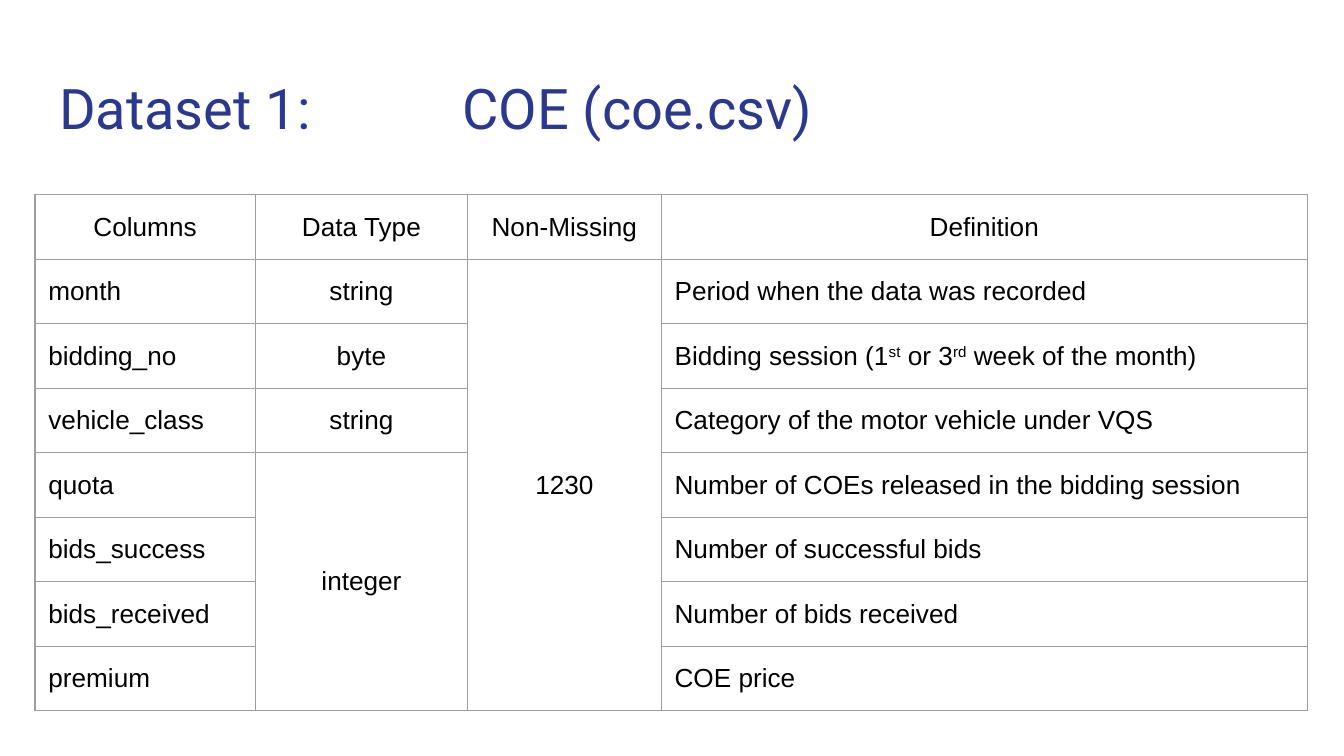
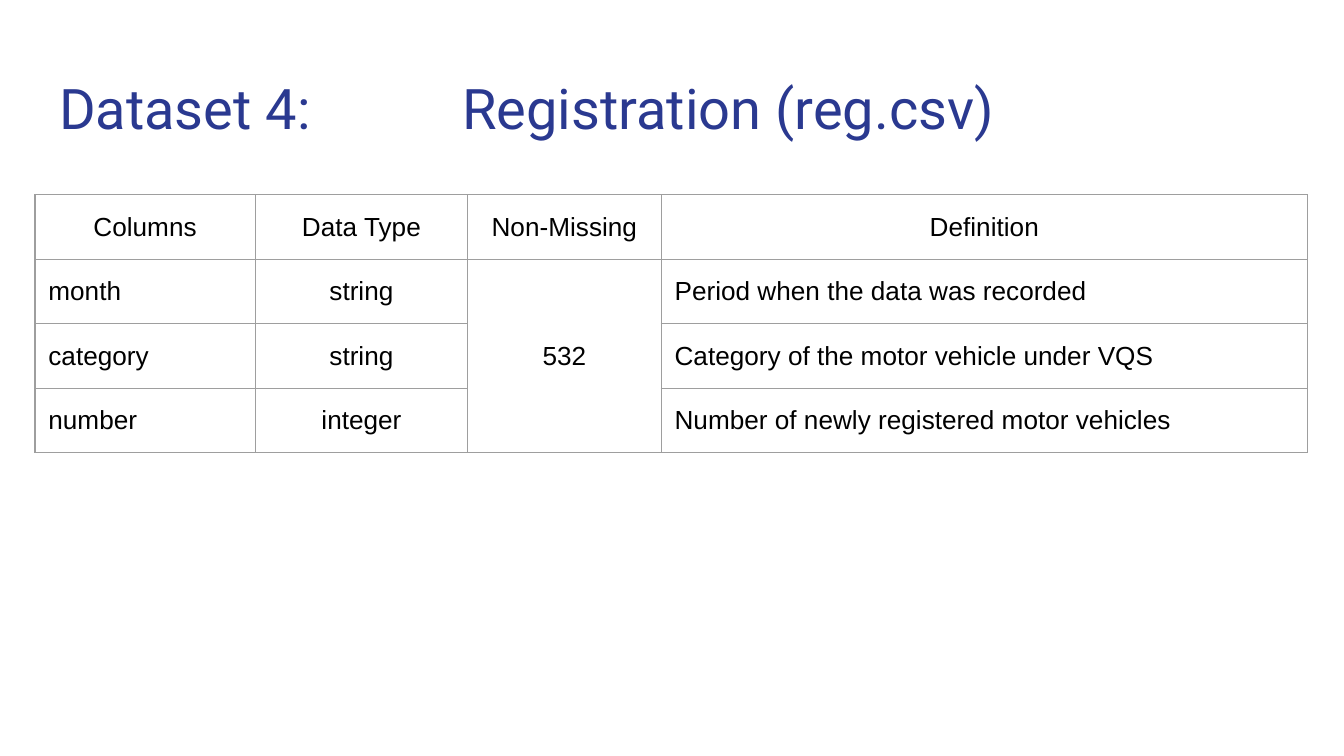
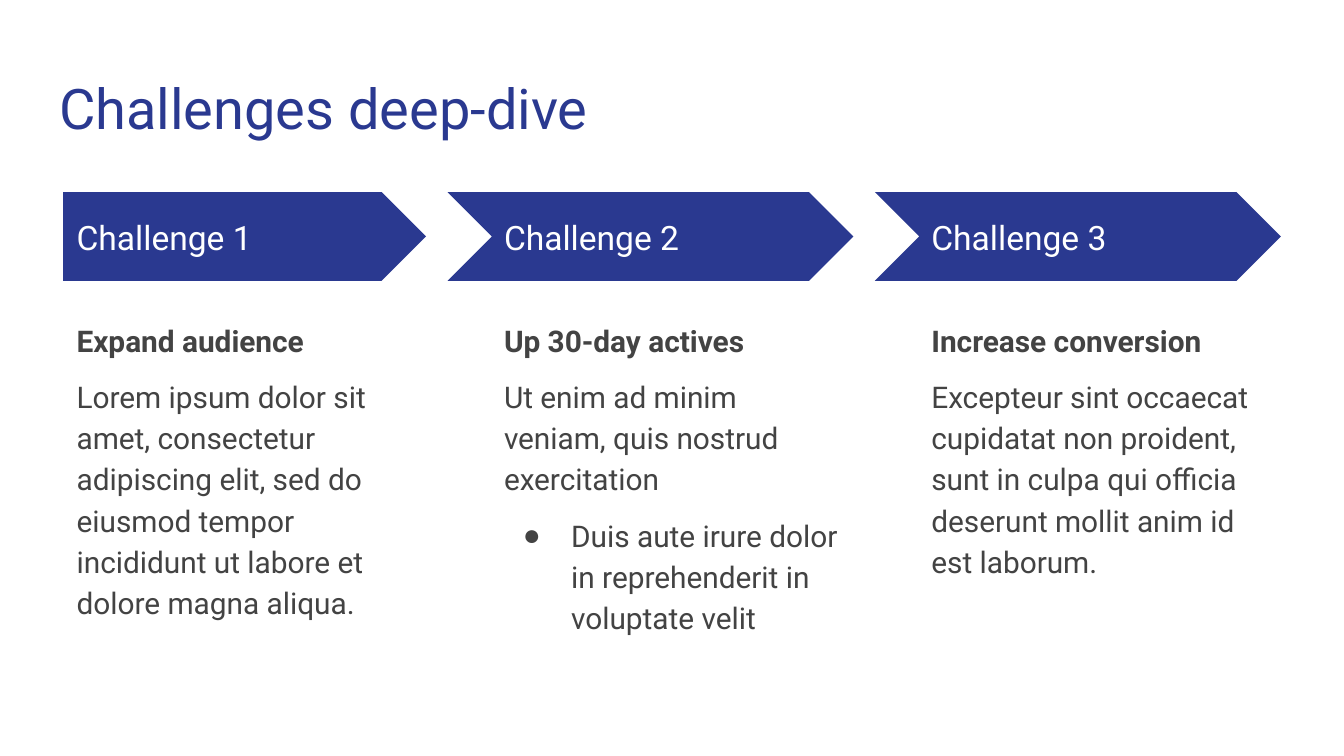
from copy import deepcopy

from lxml.etree import SubElement
from pptx import Presentation
from pptx.dml.color import RGBColor
from pptx.enum.shapes import MSO_SHAPE
from pptx.enum.text import MSO_ANCHOR, MSO_AUTO_SIZE, PP_ALIGN
from pptx.oxml.ns import qn
from pptx.util import Inches, Pt

COLOURS = {"navy": "2A3990", "grey": "434343", "border": "9E9E9E",
           "black": "000000", "white": "FFFFFF"}

# Widescreen, 16 to 9
WIDTH = Inches(10)
HEIGHT = WIDTH * 9 // 16
INSET = Inches(0.1)

deck = Presentation()
deck.slide_width, deck.slide_height = WIDTH, HEIGHT


def place(box, left, top, width, height, anchor=MSO_ANCHOR.TOP):
    """Put a text placeholder at shares of the slide's size."""
    box.left, box.top = int(left * WIDTH), int(top * HEIGHT)
    box.width, box.height = int(width * WIDTH), int(height * HEIGHT)
    frame = box.text_frame
    frame.auto_size, frame.word_wrap = MSO_AUTO_SIZE.NONE, True
    frame.vertical_anchor = anchor
    frame.margin_left = frame.margin_right = INSET
    frame.margin_top = frame.margin_bottom = INSET
    return frame


def write(para, text, size, colour, font="Roboto", bold=False, align=PP_ALIGN.LEFT):
    """Fill a paragraph; parts between carets are raised."""
    for number, part in enumerate(text.split("^")):
        span = para.add_run()
        span.text = part
        if number % 2:
            span.font._element.set("baseline", "30000")
    para.alignment = align
    para.space_before = para.space_after = Pt(0)
    para.font.size, para.font.name, para.font.bold = Pt(size), font, bold
    para.font.color.rgb = RGBColor.from_string(COLOURS[colour])


# Layout with a label and a text placeholder for each of three columns
columns_layout = deck.slide_layouts[1]
body = columns_layout.placeholders[1]
body.element.find(".//" + qn("p:ph")).set("type", "body")
for index in range(25, 20, -1):
    twin = deepcopy(body.element)
    twin.find(".//" + qn("p:cNvPr")).set("id", str(index))
    twin.find(".//" + qn("p:ph")).set("idx", str(index))
    body.element.addnext(twin)

# Pages and titles
pages = []
for title, layout in [("Dataset 1:\t\tCOE (coe.csv)", deck.slide_layouts[5]),
                      ("Dataset 4:\t\tRegistration (reg.csv)", deck.slide_layouts[5]),
                      ("Challenges deep-dive", columns_layout)]:
    page = deck.slides.add_slide(layout)
    para = place(page.shapes.title, 0.034, 0.08, 0.932, 0.117).paragraphs[0]
    tabs = SubElement(para._p.get_or_add_pPr(), qn("a:tabLst"))
    for stop in (2, 3):
        SubElement(tabs, qn("a:tab"), pos=str(Inches(stop)), algn="l")
    write(para, title, 30, "navy")
    pages.append(page)

# Dataset tables: None continues the cell above
HEADER = ("Columns", "Data Type", "Non-Missing", "Definition")
COLUMN_WIDTHS = (1.64, 1.58, 1.44, 4.81)
ROW_HEIGHT = 0.48
datasets = [
    [HEADER,
     ("month", "string", "1230", "Period when the data was recorded"),
     ("bidding_no", "byte", None, "Bidding session (1^st^ or 3^rd^ week of the month)"),
     ("vehicle_class", "string", None, "Category of the motor vehicle under VQS"),
     ("quota", "integer", None, "Number of COEs released in the bidding session"),
     ("bids_success", None, None, "Number of successful bids"),
     ("bids_received", None, None, "Number of bids received"),
     ("premium", None, None, "COE price")],
    [HEADER,
     ("month", "string", "532", "Period when the data was recorded"),
     ("category", "string", None, "Category of the motor vehicle under VQS"),
     ("number", "integer", None, "Number of newly registered motor vehicles")],
]
for page, rows in zip(pages, datasets):
    table = page.shapes.add_table(
        len(rows), len(HEADER), Inches(0.26), Inches(1.45),
        Inches(sum(COLUMN_WIDTHS)), Inches(ROW_HEIGHT * len(rows))).table
    table.first_row = table.horz_banding = False
    for column, width in zip(table.columns, COLUMN_WIDTHS):
        column.width = Inches(width)
    for r, row in enumerate(rows):
        table.rows[r].height = Inches(ROW_HEIGHT)
        for c, text in enumerate(row):
            cell = table.cell(r, c)
            cell.vertical_anchor = MSO_ANCHOR.MIDDLE
            cell.margin_left = cell.margin_right = INSET
            cell.margin_top = cell.margin_bottom = INSET
            # Borders go before the fill
            properties = cell._tc.get_or_add_tcPr()
            for side in ("lnL", "lnR", "lnT", "lnB"):
                line = SubElement(properties, qn("a:" + side), w=str(Pt(0.75)))
                paint = SubElement(line, qn("a:solidFill"))
                SubElement(paint, qn("a:srgbClr"), val=COLOURS["border"])
            cell.fill.background()
            if text is None:
                continue
            centred = r == 0 or c in (1, 2)
            write(cell.text_frame.paragraphs[0], text, 14, "black", "Arial",
                  align=PP_ALIGN.CENTER if centred else PP_ALIGN.LEFT)
            last = r
            while last + 1 < len(rows) and rows[last + 1][c] is None:
                last += 1
            if last > r:
                cell.merge(table.cell(last, c))

# Challenge columns: label, heading, text, bullets
challenges = [
    ("Challenge 1", "Expand audience",
     "Lorem ipsum dolor sit amet, consectetur adipiscing elit, sed do eiusmod "
     "tempor incididunt ut labore et dolore magna aliqua.", []),
    ("Challenge 2", "Up 30-day actives",
     "Ut enim ad minim veniam, quis nostrud exercitation",
     ["Duis aute irure dolor in reprehenderit in voluptate velit"]),
    ("Challenge 3", "Increase conversion",
     "Excepteur sint occaecat cupidatat non proident, sunt in culpa qui officia "
     "deserunt mollit anim id est laborum.", []),
]
page = pages[2]
boxes = list(page.placeholders)[1:]
for column, (label, heading, text, bullets) in enumerate(challenges):
    left = 0.047 + 0.318 * column
    notch = 0.032 if column else 0

    # Arrow behind the label
    arrow = page.shapes.add_shape(
        MSO_SHAPE.CHEVRON if column else MSO_SHAPE.PENTAGON,
        int((left - notch) * WIDTH), Inches(1.43),
        int((0.27 + notch) * WIDTH), Inches(0.66))
    arrow.adjustments[0] = 0.5
    arrow.shadow.inherit = False
    arrow.fill.solid()
    arrow.fill.fore_color.rgb = RGBColor.from_string(COLOURS["navy"])
    arrow.line.fill.background()
    boxes[2 * column].element.addprevious(arrow.element)

    label_frame = place(boxes[2 * column], left, 0.283, 0.247, 0.06, MSO_ANCHOR.MIDDLE)
    text_frame = place(boxes[2 * column + 1], left, 0.402, 0.27, 0.516)
    lines = [(label_frame, label), (text_frame, heading), (text_frame, text)]
    lines += [(text_frame, bullet) for bullet in bullets]
    for number, (frame, words) in enumerate(lines):
        para = frame.add_paragraph() if number > 1 else frame.paragraphs[0]
        settings = para._p.get_or_add_pPr()
        bulleted = number > 2
        settings.set("marL", str(Inches(0.5) if bulleted else 0))
        settings.set("indent", str(Inches(-0.36) if bulleted else 0))
        if bulleted:
            tint = SubElement(settings, qn("a:buClr"))
            SubElement(tint, qn("a:srgbClr"), val=COLOURS["grey"])
            SubElement(settings, qn("a:buFont"), typeface="Arial")
            SubElement(settings, qn("a:buChar"), char="●")
        else:
            SubElement(settings, qn("a:buNone"))
        if number == 0:
            write(para, words, 18, "white")
            continue
        write(para, words, 16, "grey", bold=number == 1)
        para.line_spacing = 1.15
        para.space_before = Pt(8 if number > 1 else 0)
        para.space_after = Pt(8 if number == len(lines) - 1 else 0)

deck.save("out.pptx")
